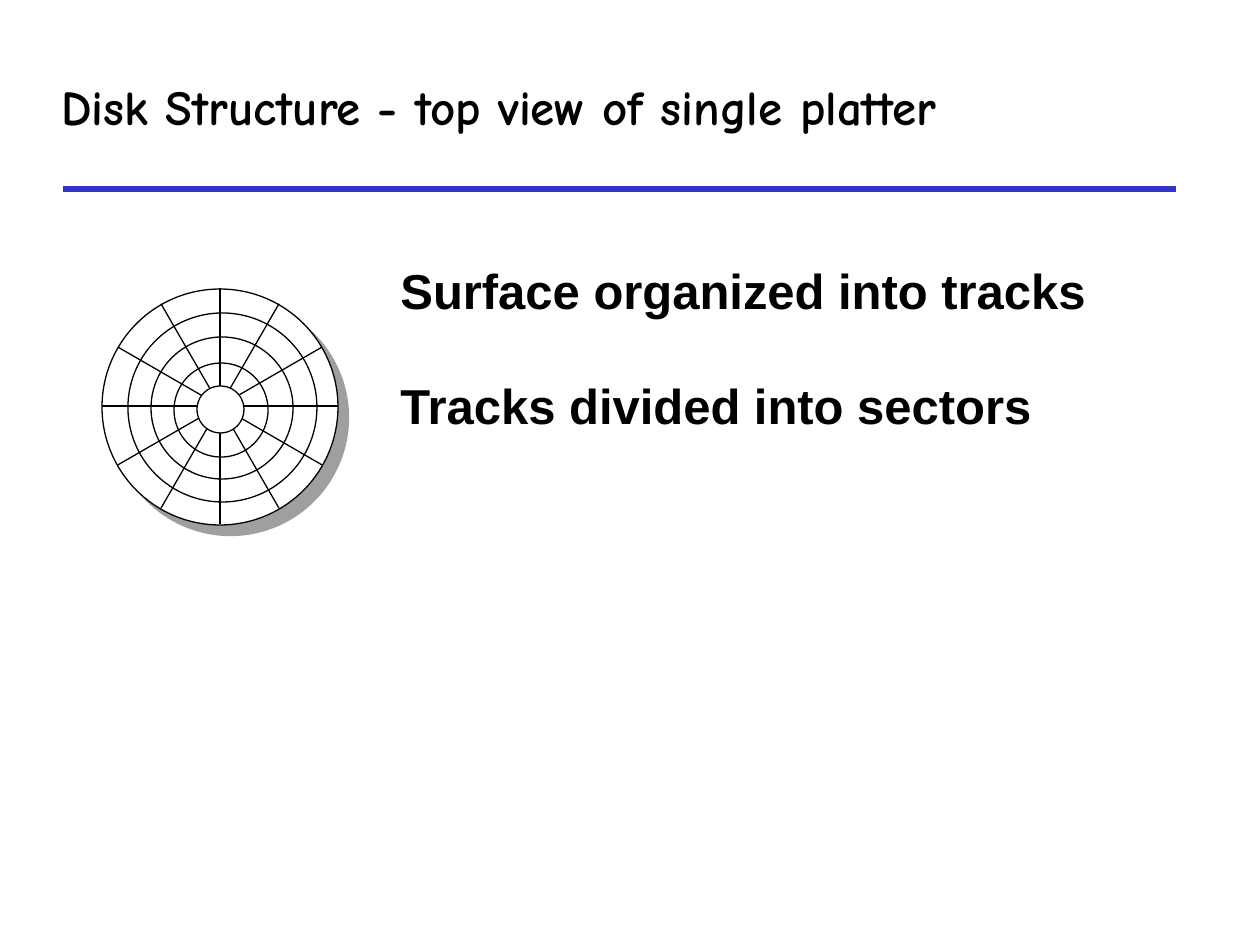
import math

from lxml import etree
from pptx import Presentation
from pptx import util as u
from pptx.dml.color import RGBColor
from pptx.enum import shapes, text
from pptx.oxml import ns

PX = 914400 / 126
COLORS = {"ink": "000000", "rule": "3333CC", "disk": "FFFFFF", "shadow": "808080"}
THIN = 0.74


def px(n):
    """Turn picture pixels into EMU."""
    return u.Emu(round(n * PX))


def rgb(name):
    """Look up a named colour."""
    return RGBColor.from_string(COLORS[name])


def add_line(s, x1, y1, x2, y2, color="ink", width=THIN):
    """Draw a straight line without a shadow."""
    line = s.shapes.add_connector(
        shapes.MSO_CONNECTOR.STRAIGHT, px(x1), px(y1), px(x2), px(y2))
    line.line.color.rgb = rgb(color)
    line.line.width = u.Pt(width)
    etree.SubElement(line._element.spPr, ns.qn("a:effectLst"))


def add_circle(s, x, y, w, h, fill=None):
    """Draw an outlined ellipse, hollow unless a fill is named."""
    sp = s.shapes.add_shape(shapes.MSO_SHAPE.OVAL, px(x), px(y), px(w), px(h))
    sp.shadow.inherit = False
    if fill:
        sp.fill.solid()
        sp.fill.fore_color.rgb = rgb(fill)
    else:
        sp.fill.background()
    sp.line.color.rgb = rgb("ink")
    sp.line.width = u.Pt(THIN)
    return sp


def cast_shadow(sp):
    """Give a shape a hard shadow to its lower right."""
    effects = sp._element.spPr.find(ns.qn("a:effectLst"))
    shadow = etree.SubElement(effects, ns.qn("a:outerShdw"), blurRad="0",
                              dist=str(u.Pt(8.5)), dir="2700000",
                              algn="ctr", rotWithShape="0")
    color = etree.SubElement(shadow, ns.qn("a:srgbClr"), val=COLORS["shadow"])
    etree.SubElement(color, ns.qn("a:alpha"), val="75000")


def add_text(s, box, words, font, anchor):
    """Place one bold line of text in a box."""
    tf = s.shapes.add_textbox(*map(px, box)).text_frame
    tf.word_wrap = True
    tf.vertical_anchor = anchor
    r = tf.paragraphs[0].add_run()
    r.text = words
    r.font.name = font
    r.font.size = u.Pt(28)
    r.font.bold = True
    r.font.color.rgb = rgb("ink")


def add_header(s, x, y, w, h):
    """Place the title and the rule below it."""
    add_text(s, (x, y, w, h), "Disk Structure - top view of single platter",
             "Comic Neue", text.MSO_ANCHOR.MIDDLE)
    add_line(s, x + 14, y + 136, x + 1127, y + 136, "rule", 3)


def add_platter(s, x, y, w, h):
    """Draw the disk with its sector lines, tracks and hub."""
    cast_shadow(add_circle(s, x, y, w, h, "disk"))
    cx, cy, radius = x + w / 2, y + h / 2 - 1, h / 2
    for k in range(6):
        angle = math.radians(30 * k)
        dx, dy = radius * math.sin(angle), radius * math.cos(angle)
        add_line(s, cx + dx, cy - dy, cx - dx, cy + dy)
    add_circle(s, x + 95, y + 97, 47, 47, "disk")
    for left, top, size in ((26, 24, 189), (49, 48, 142), (72, 74, 94)):
        add_circle(s, x + left, y + top, size, size)


def add_points(s, x, y, w, h, pitch):
    """Stack the statements at an equal pitch."""
    points = ("Surface organized into tracks", "Tracks divided into sectors")
    for i, words in enumerate(points):
        add_text(s, (x, y + i * pitch, w, h), words, "Arial",
                 text.MSO_ANCHOR.BOTTOM)


prs = Presentation()
prs.slide_width, prs.slide_height = px(1260), px(945)
s = prs.slides.add_slide(prs.slide_layouts[6])
add_header(s, 49, 53, 1169, 105)
add_platter(s, 102, 289, 236, 236)
add_points(s, 388, 210, 788, 116, 115)
prs.save("out.pptx")
